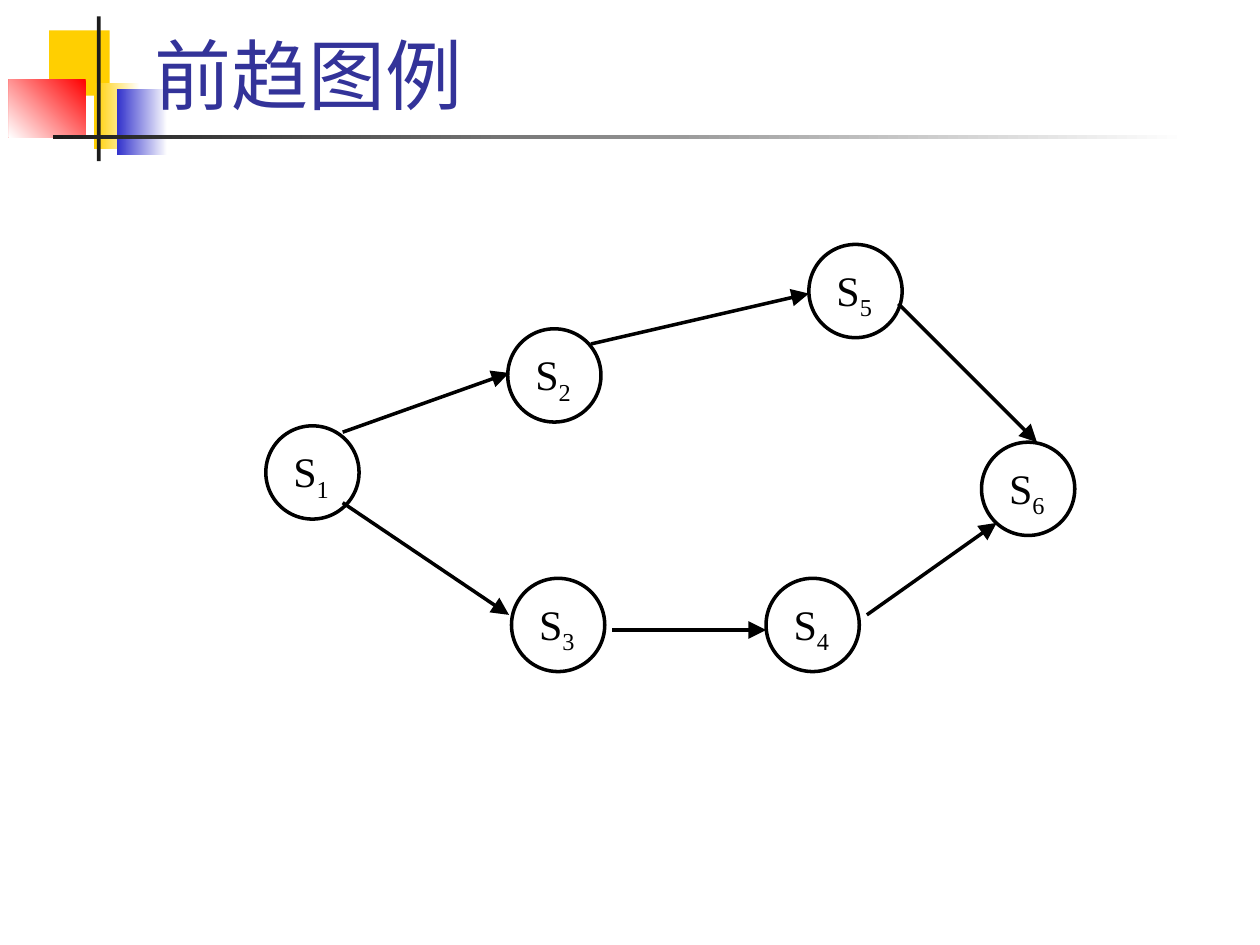
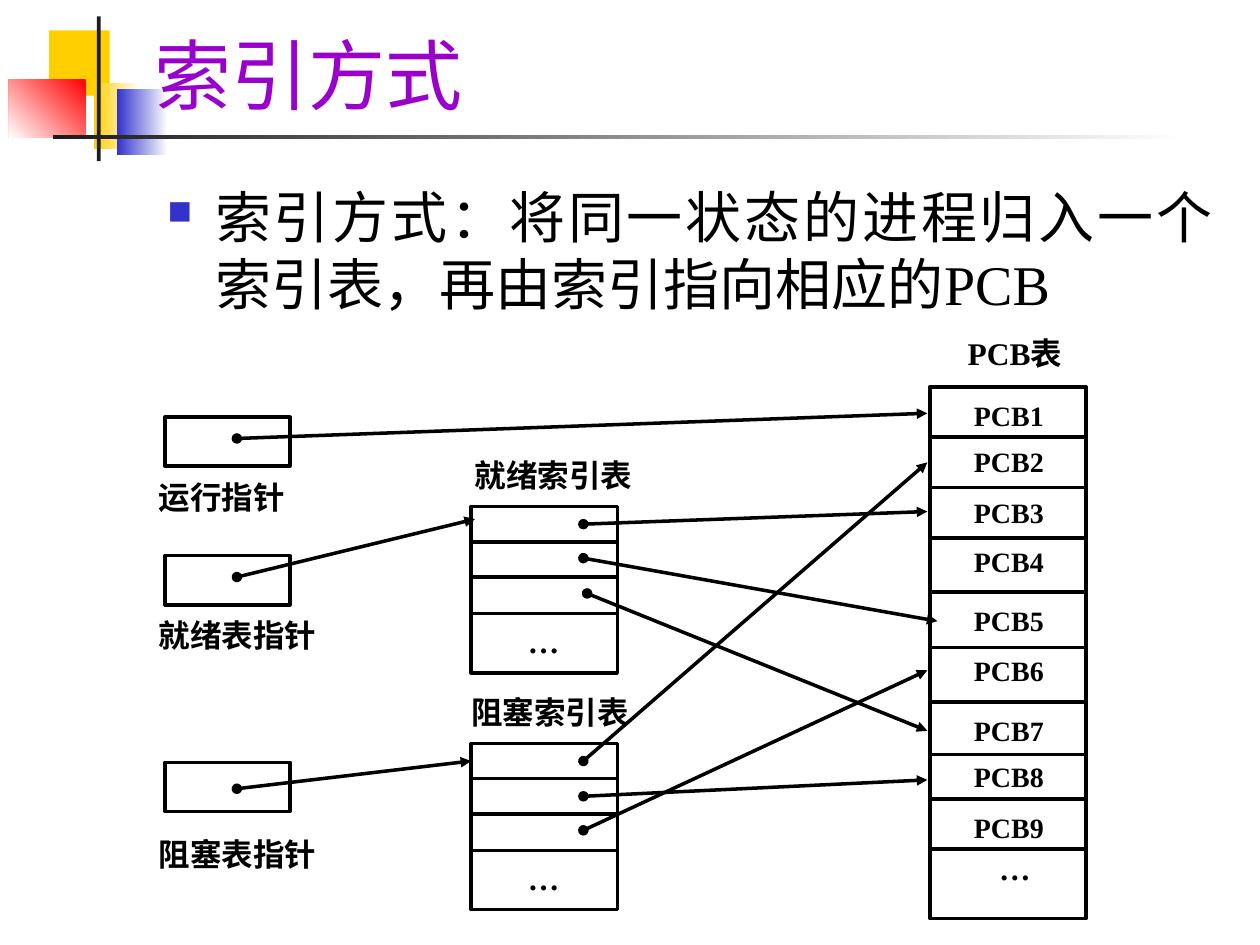
from lxml.etree import SubElement
from pptx import Presentation
from pptx.dml.color import RGBColor
from pptx.enum.shapes import MSO_CONNECTOR, MSO_SHAPE
from pptx.enum.text import MSO_ANCHOR, PP_ALIGN
from pptx.oxml.ns import qn
from pptx.util import Inches, Pt

COLORS = {
    "white": "FFFFFF", "black": "000000", "yellow": "FFCF01", "red": "FF0000",
    "blue": "3333CC", "charcoal": "1C1C1C", "navy": "333399", "purple": "9900CC",
}
SERIF = "Times New Roman"
TITLE_INSETS = (0.1, 0.05, 0.1, 0.05)
NO_INSETS = (0, 0, 0, 0)
LABEL = {"name": SERIF, "size": Pt(18), "bold": True}
PCB_LABEL = {**LABEL, "size": Pt(16)}
STATE = {"name": SERIF, "size": Pt(24)}
BODY = {"name": SERIF, "size": Pt(32)}

HEADER_PARTS = [
    ((0.39, 0.24, 0.48, 0.52), ("yellow",), 0),
    ((0.75, 0.66, 0.36, 0.52), ("white", "yellow"), 180),
    ((0.93, 0.71, 0.4, 0.52), ("white", "blue"), 180),
    ((0.07, 0.63, 0.61, 0.46), ("red", "white"), 225),
    ((0.77, 0.13, 0.03, 1.15), ("charcoal",), 0),
    ((0.42, 1.07, 9, 0.03), ("white", "charcoal"), 180),
]

NODE_SIZE = 0.74
NODES = {"1": (2.11, 3.38), "2": (4.03, 2.61), "3": (4.06, 4.59),
         "4": (6.08, 4.59), "5": (6.42, 1.94), "6": (7.79, 3.51)}
PRECEDENCE_ARROWS = [
    ((2.72, 3.99), (4.04, 4.88)), ((4.69, 2.73), (6.42, 2.33)),
    ((2.72, 3.43), (4.04, 2.96)), ((4.86, 5), (6.08, 5)),
    ((6.88, 4.88), (7.91, 4.15)), ((7.13, 2.41), (8.23, 3.51)),
]

POINTERS = [("运行指针", 3.31, 3.79), ("就绪表指针", 4.41, 4.89), ("阻塞表指针", 6.05, 6.63)]
INDEX_TABLES = [("就绪索引表", 3.77, 4.02), ("阻塞索引表", 3.74, 5.9)]
PCB_DIVIDERS = [3.47, 3.87, 4.27, 4.7, 5.14, 5.57, 5.99, 6.34, 6.74]
PCB_LABEL_TOPS = [3.16, 3.53, 3.93, 4.32, 4.79, 5.19, 5.66, 6.03, 6.43]
POINTER_ARROWS = [
    ((1.88, 3.48), (7.36, 3.28)), ((1.88, 4.58), (3.77, 4.12)),
    ((1.88, 6.26), (3.74, 6.04)), ((4.63, 4.16), (7.36, 4.06)),
    ((4.63, 4.43), (7.44, 4.93)), ((4.66, 4.71), (7.36, 5.8)),
    ((4.63, 6.04), (7.36, 3.67)), ((4.63, 6.32), (7.36, 6.19)),
    ((4.63, 6.59), (7.36, 5.32)),
]


def rgb(color):
    return RGBColor.from_string(COLORS[color])


def apply_format(target, values):
    for name, value in values.items():
        setattr(target, name, value)


def add_run(paragraph, text, font_values, color="black"):
    run = paragraph.add_run()
    run.text = text
    apply_format(run.font, font_values)
    run.font.color.rgb = rgb(color)
    return run


def set_frame(shape, insets, anchor=MSO_ANCHOR.TOP):
    left, top, right, bottom = map(Inches, insets)
    apply_format(shape.text_frame, {
        "word_wrap": True, "vertical_anchor": anchor, "margin_left": left,
        "margin_top": top, "margin_right": right, "margin_bottom": bottom,
    })
    return shape.text_frame.paragraphs[0]


def add_text(slide, box, text, font_values, color="black", insets=NO_INSETS,
             anchor=MSO_ANCHOR.TOP, alignment=PP_ALIGN.JUSTIFY):
    shape = slide.shapes.add_textbox(*map(Inches, box))
    paragraph = set_frame(shape, insets, anchor)
    paragraph.alignment = alignment
    add_run(paragraph, text, font_values, color)
    return paragraph


def add_outlined(slide, kind, box):
    shape = slide.shapes.add_shape(kind, *map(Inches, box))
    shape.shadow.inherit = False
    shape.fill.solid()
    shape.fill.fore_color.rgb = rgb("white")
    shape.line.color.rgb = rgb("black")
    shape.line.width = Pt(2)
    return shape


def add_line(slide, start, end, head=None, tail=None, size="med"):
    points = map(Inches, (*start, *end))
    connector = slide.shapes.add_connector(MSO_CONNECTOR.STRAIGHT, *points)
    connector.line.color.rgb = rgb("black")
    connector.line.width = Pt(2)
    line = connector.line._get_or_add_ln()
    for tag, ending in (("a:headEnd", head), ("a:tailEnd", tail)):
        if ending:
            SubElement(line, qn(tag), type=ending, w=size, len=size)
    SubElement(connector._element.spPr, qn("a:effectLst"))


def add_header_part(slide, box, colors, angle):
    shape = slide.shapes.add_shape(MSO_SHAPE.RECTANGLE, *map(Inches, box))
    shape.shadow.inherit = False
    shape.line.fill.background()
    if len(colors) == 1:
        shape.fill.solid()
        shape.fill.fore_color.rgb = rgb(colors[0])
        return
    shape.fill.gradient()
    shape.fill.gradient_angle = angle
    for stop, color in zip(shape.fill.gradient_stops, colors):
        stop.color.rgb = rgb(color)


def add_titled_slide(presentation, title, font_name, color):
    slide = presentation.slides.add_slide(presentation.slide_layouts[6])
    for part in HEADER_PARTS:
        add_header_part(slide, *part)
    add_text(slide, (1.13, 0.14, 8.52, 0.86), title,
             {"name": font_name, "size": Pt(44)}, color, TITLE_INSETS,
             MSO_ANCHOR.BOTTOM, PP_ALIGN.LEFT)
    return slide


def add_bullet(paragraph):
    properties = paragraph._p.get_or_add_pPr()
    properties.set("marL", str(Inches(0.38)))
    properties.set("indent", str(-Inches(0.38)))
    bullet_color = SubElement(properties, qn("a:buClr"))
    SubElement(bullet_color, qn("a:srgbClr"), val=COLORS["blue"])
    SubElement(properties, qn("a:buSzPct"), val="60000")
    SubElement(properties, qn("a:buChar"), char="■")


def add_node(slide, number, left, top):
    shape = add_outlined(slide, MSO_SHAPE.OVAL, (left, top, NODE_SIZE, NODE_SIZE))
    paragraph = set_frame(shape, (0, 0.05, 0.02, 0.01))
    apply_format(paragraph, {"alignment": PP_ALIGN.CENTER, "line_spacing": 0.96})
    add_run(paragraph, "S", STATE)
    subscript = add_run(paragraph, number, STATE)
    subscript.font._element.set("baseline", "-25000")


def add_divided_box(slide, box, dividers):
    left, _, width, _ = box
    add_outlined(slide, MSO_SHAPE.RECTANGLE, box)
    for y in dividers:
        add_line(slide, (left, y), (left + width, y))


def add_pointer(slide, label, box_top, label_top):
    add_outlined(slide, MSO_SHAPE.RECTANGLE, (1.31, box_top, 0.99, 0.39))
    add_text(slide, (1.26, label_top, 1.41, 0.36), label, LABEL)


def add_index_table(slide, label, label_left, top):
    dividers = [top + offset for offset in (0.28, 0.56, 0.85)]
    add_divided_box(slide, (3.74, top, 1.16, 1.32), dividers)
    add_text(slide, (label_left, top - 0.4, 1.47, 0.36), label, LABEL)
    add_text(slide, (4.19, top + 0.92, 0.42, 0.32), "…", LABEL)


def add_pcb_table(slide):
    add_divided_box(slide, (7.38, 3.07, 1.24, 4.22), PCB_DIVIDERS)
    add_text(slide, (7.68, 2.65, 0.94, 0.36), "PCB表", LABEL)
    for number, top in enumerate(PCB_LABEL_TOPS, 1):
        add_text(slide, (7.73, top, 0.82, 0.32), f"PCB{number}", PCB_LABEL)
    add_text(slide, (7.93, 6.74, 0.42, 0.32), "…", LABEL)


def build_precedence_slide(presentation):
    slide = add_titled_slide(presentation, "前趋图例", "Lato", "navy")
    for number, position in NODES.items():
        add_node(slide, number, *position)
    for start, end in PRECEDENCE_ARROWS:
        add_line(slide, start, end, tail="triangle", size="lg")


def build_index_slide(presentation):
    slide = add_titled_slide(presentation, "索引方式", SERIF, "purple")
    paragraph = add_text(
        slide, (1.23, 1.4, 8.5, 1.44),
        "索引方式：将同一状态的进程归入一个索引表，再由索引指向相应的PCB",
        BODY, insets=TITLE_INSETS)
    add_bullet(paragraph)
    for pointer in POINTERS:
        add_pointer(slide, *pointer)
    for table in INDEX_TABLES:
        add_index_table(slide, *table)
    add_pcb_table(slide)
    for start, end in POINTER_ARROWS:
        add_line(slide, start, end, head="oval", tail="triangle")


def main():
    presentation = Presentation()
    presentation.slide_width = Inches(10)
    presentation.slide_height = Inches(7.5)
    build_precedence_slide(presentation)
    build_index_slide(presentation)
    presentation.save("out.pptx")


if __name__ == "__main__":
    main()
